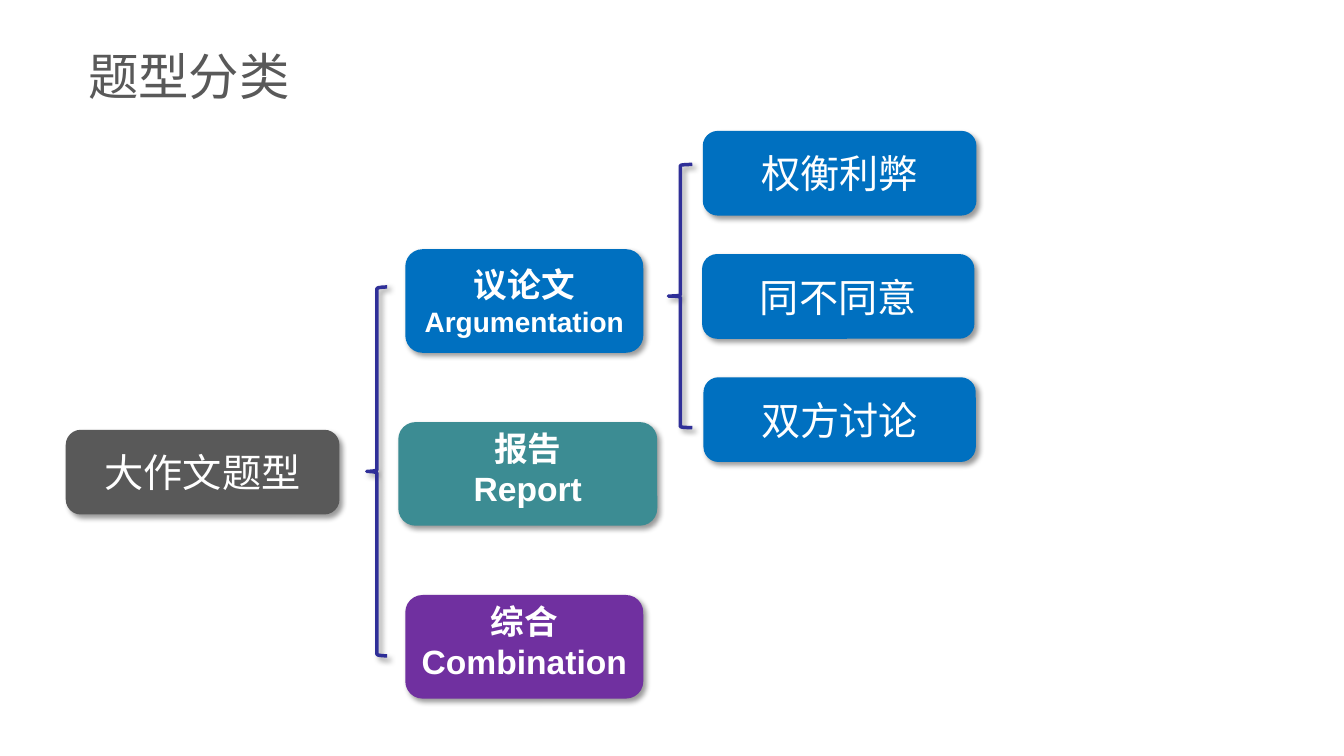
from lxml.etree import SubElement
from pptx import Presentation
from pptx.dml.color import RGBColor
from pptx.enum.shapes import MSO_SHAPE
from pptx.enum.text import MSO_ANCHOR, PP_ALIGN
from pptx.oxml.ns import qn
from pptx.util import Pt

WHITE = RGBColor(0xFF, 0xFF, 0xFF)
GRAY = RGBColor(0x59, 0x59, 0x59)
BLUE = RGBColor(0x00, 0x70, 0xC0)
TEAL = RGBColor(0x3C, 0x8C, 0x93)
PURPLE = RGBColor(0x70, 0x30, 0xA0)
NAVY = RGBColor(0x2F, 0x2F, 0x98)
LATIN, HAN = "Arial", "Noto Sans CJK SC"


def write(para, text, size=28, color=WHITE, bold=False, face=LATIN,
          align=PP_ALIGN.CENTER):
    para.alignment = align
    run = para.add_run()
    run.text = text
    font = run.font
    font.name, font.size, font.bold = face, Pt(size), bold
    font.color.rgb = color
    SubElement(run._r.get_or_add_rPr(), qn("a:ea"), typeface=HAN)


class Deck:
    """Holds the shared style and the current slide."""

    def __init__(self, wide, high):
        self.prs = Presentation()
        self.prs.slide_width, self.prs.slide_height = Pt(wide), Pt(high)
        self.slide = self.prs.slides.add_slide(self.prs.slide_layouts[5])

    def title(self, text, x, y, w, h):
        box = self.slide.shapes.title
        box.left, box.top, box.width, box.height = map(Pt, (x, y, w, h))
        frame = box.text_frame
        frame.vertical_anchor = MSO_ANCHOR.TOP
        frame.margin_left, frame.margin_top = Pt(15), Pt(3)
        para = frame.paragraphs[0]
        para.line_spacing = 0.9
        write(para, text, size=36, color=GRAY, face=HAN, align=PP_ALIGN.LEFT)

    def shape(self, kind, x, y, w, h):
        item = self.slide.shapes.add_shape(kind, *map(Pt, (x, y, w, h)))
        item.shadow.inherit = False
        effects = item._element.spPr.find(qn("a:effectLst"))
        shade = SubElement(effects, qn("a:outerShdw"), blurRad=str(Pt(4)),
                           dist=str(Pt(3)), dir="2700000", algn="tl",
                           rotWithShape="0")
        black = SubElement(shade, qn("a:srgbClr"), val="000000")
        SubElement(black, qn("a:alpha"), val="40000")
        return item

    def node(self, lines, x, y, w, h, fill, edge=True, bold=False, lift=0):
        """Rounded box; lines holds (text, size) pairs."""
        item = self.shape(MSO_SHAPE.ROUNDED_RECTANGLE, x, y, w, h)
        item.fill.solid()
        item.fill.fore_color.rgb = fill
        if edge:
            item.line.color.rgb = fill
            item.line.width = Pt(2)
        else:
            item.line.fill.background()
        frame = item.text_frame
        frame.word_wrap = True
        frame.vertical_anchor = MSO_ANCHOR.MIDDLE
        frame.margin_left = frame.margin_right = frame.margin_top = 0
        frame.margin_bottom = Pt(lift)
        for i, (text, size) in enumerate(lines):
            para = frame.add_paragraph() if i else frame.paragraphs[0]
            write(para, text, size=size, bold=bold)

    def brace(self, x, y, w, h, curve):
        item = self.shape(MSO_SHAPE.LEFT_BRACE, x, y, w, h)
        item.adjustments[0] = curve
        item.fill.background()
        item.line.color.rgb = NAVY
        item.line.width = Pt(2.5)


def main():
    deck = Deck(960, 540)
    deck.title("题型分类", 48, 34, 864, 90)

    # Root
    deck.node([("大作文题型", 28)], 48, 308, 193.5, 58.5, GRAY)

    # Essay types
    types = [
        ("议论文", "Argumentation", 20, 289.5, 170, BLUE, 0),
        ("报告", "Report", 24, 284.5, 185, TEAL, 8),
        ("综合", "Combination", 24, 289.5, 170, PURPLE, 8),
    ]
    for i, (name, gloss, size, x, w, fill, lift) in enumerate(types):
        deck.node([(name, 24), (gloss, size)], x, 178 + 123.5 * i, w, 74,
                  fill, edge=False, bold=True, lift=lift)

    # Kinds of argument
    kinds = [("权衡利弊", 503, 193.5), ("同不同意", 502.5, 192.5),
             ("双方讨论", 503.5, 192.5)]
    for i, (name, x, w) in enumerate(kinds):
        deck.node([(name, 28)], x, 94.5 + 88 * i, w, 58.5, BLUE)

    # Braces
    deck.brace(262, 205, 14.5, 263.5, 0.08)
    deck.brace(477.5, 117.5, 17, 188, 0.045)

    deck.prs.save("out.pptx")


if __name__ == "__main__":
    main()
